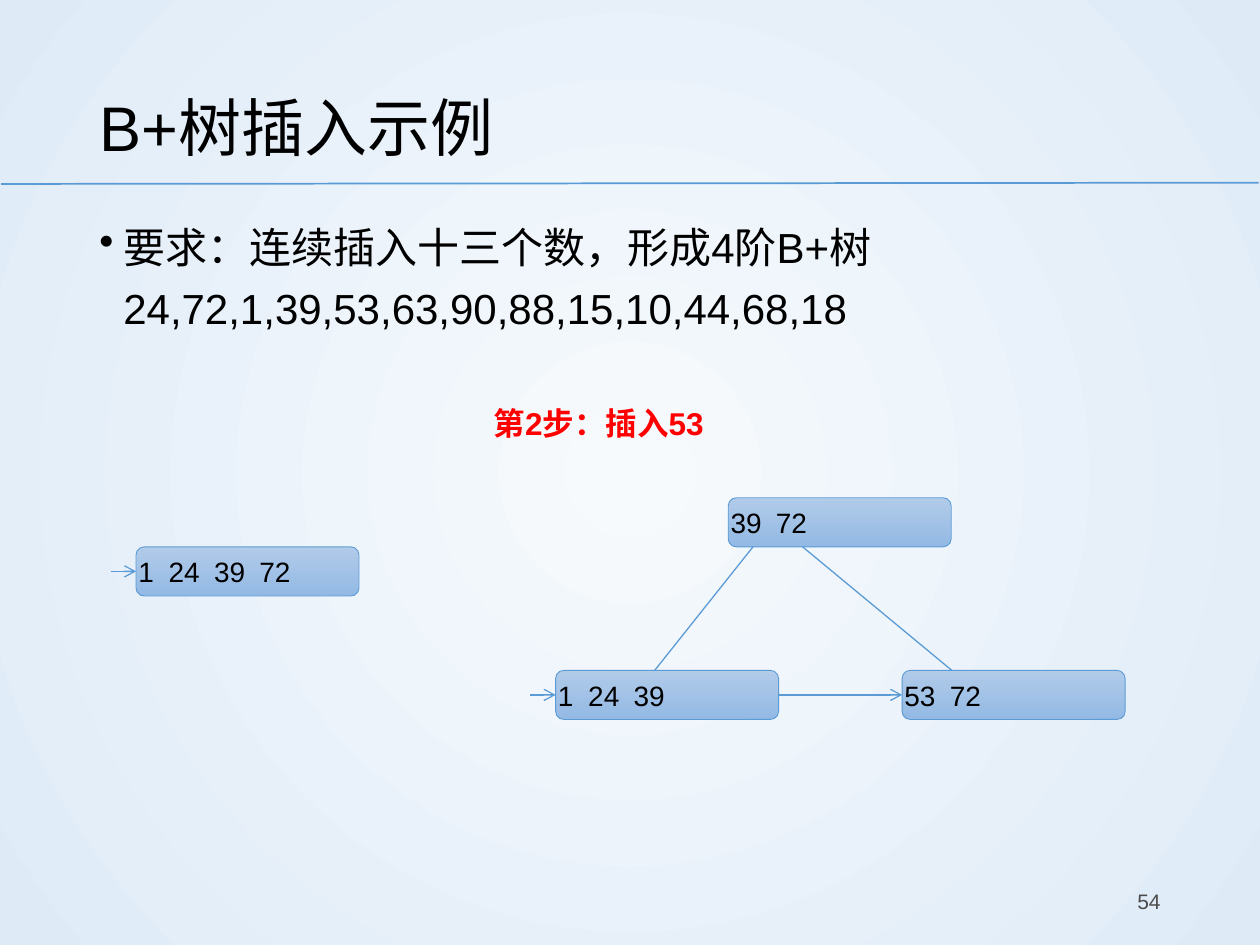
from lxml import etree
from pptx import Presentation
from pptx.dml.color import RGBColor
from pptx.enum.shapes import MSO_CONNECTOR, MSO_SHAPE
from pptx.enum.text import MSO_ANCHOR, PP_ALIGN
from pptx.oxml.ns import qn
from pptx.util import Inches, Pt

LINE, ROUND = MSO_CONNECTOR.STRAIGHT, MSO_SHAPE.ROUNDED_RECTANGLE
TOP, MID = MSO_ANCHOR.TOP, MSO_ANCHOR.MIDDLE
LEFT, RIGHT = PP_ALIGN.LEFT, PP_ALIGN.RIGHT

# Content
TITLE = "B+树插入示例"
TASK = "要求：连续插入十三个数，形成4阶B+树24,72,1,39,53,63,90,88,15,10,44,68,18"
STEP = "第2步：插入53"
PAGE = "54"
NODES = {  # name: (left, top, keys)
    "old": (1.08, 4.34, ["1", "24", "39", "72"]),
    "root": (5.78, 3.95, ["39", "72"]),
    "low": (4.41, 5.32, ["1", "24", "39"]),
    "high": (7.16, 5.32, ["53", "72"]),
}
HEADS = ["old", "low"]  # nodes with an entry arrow
NEXT = [("low", "high")]
# parent, child, start and end as shares of the node width
LINKS = [("root", "low", 1 / 9, 4 / 9), ("root", "high", 1 / 3, 2 / 9)]

THEME = {
    "font": "Arial", "ink": "000000", "mark": "FF0000", "dim": "4B4B4B",
    "rule": "5B9BD5", "back": ("F7FAFD", "DEEBF7"), "node": ("B1CBE9", "93B9E4"),
    "title": 36, "body": 24, "step": 18, "key": 16, "page": 12,
}
WIDE, HIGH = 10, 7.5
EDGE, SPAN = 0.69, 8.62
NODE_W, NODE_H, ENTRY = 1.77, 0.39, 0.2
DIGIT = 0.12  # width of one digit, and of the gap between keys


def color(name):
    return RGBColor.from_string(name)


def blend(fill, pair):
    fill.gradient()
    for stop, name in zip(fill.gradient_stops, pair):
        stop.color.rgb = color(name)


def write(shape, text, size, ink=THEME["ink"], bold=False, align=LEFT,
          anchor=TOP, lead=None, pad=None, bullet=None, tabs=()):
    frame = shape.text_frame
    frame.word_wrap = True
    frame.vertical_anchor = anchor
    if pad:
        (frame.margin_left, frame.margin_top,
         frame.margin_right, frame.margin_bottom) = map(Inches, pad)
    para = frame.paragraphs[0]
    para.text = text
    para.alignment = align
    if lead:
        para.line_spacing = lead
    props = para._p.get_or_add_pPr()
    if bullet:
        props.set("marL", str(Inches(0.19)))
        props.set("indent", str(-Inches(0.19)))
        etree.SubElement(props, qn("a:buChar"), char=bullet)
    if tabs:
        stops = etree.SubElement(props, qn("a:tabLst"))
        for pos in tabs:
            etree.SubElement(stops, qn("a:tab"), pos=str(Inches(pos)), algn="l")
    font = para.runs[0].font
    font.name, font.size, font.bold = THEME["font"], Pt(size), bold
    font.color.rgb = color(ink)


def label(slide, box, text, size, **form):
    write(slide.shapes.add_textbox(*map(Inches, box)), text, size, **form)


def join(slide, start, end, width=0.75, arrow=False):
    line = slide.shapes.add_connector(LINE, *map(Inches, (*start, *end)))
    line.line.color.rgb = color(THEME["rule"])
    line.line.width = Pt(width)
    if arrow:
        etree.SubElement(line.line._get_or_add_ln(), qn("a:tailEnd"), type="arrow")
    etree.SubElement(line._element.spPr, qn("a:effectLst"))


def node(slide, left, top, keys):
    shape = slide.shapes.add_shape(ROUND, *map(Inches, (left, top, NODE_W, NODE_H)))
    shape.shadow.inherit = False
    blend(shape.fill, THEME["node"])
    shape.fill.gradient_angle = 270
    shape.line.color.rgb = color(THEME["rule"])
    shape.line.width = Pt(0.5)
    # Each key starts one gap after the key before it
    tabs, pos = [], 0
    for key in keys[:-1]:
        pos += (len(key) + 1) * DIGIT
        tabs.append(round(pos, 2))
    write(shape, "\t".join(keys), THEME["key"], anchor=MID,
          pad=(0, 0, 0.2, 0), tabs=tabs)


def main():
    deck = Presentation()
    deck.slide_width, deck.slide_height = Inches(WIDE), Inches(HIGH)
    slide = deck.slides.add_slide(deck.slide_layouts[6])

    # Round background glow
    blend(slide.background.fill, THEME["back"])
    grad = next(slide.element.iter(qn("a:gradFill")))
    grad.remove(grad.find(qn("a:lin")))
    glow = etree.SubElement(grad, qn("a:path"), {"path": "circle"})
    etree.SubElement(glow, qn("a:fillToRect"), dict.fromkeys("ltrb", "50000"))

    # Title, rule, task, step and page number
    join(slide, (0.01, 1.46), (WIDE - 0.01, 1.45), width=1)
    label(slide, (EDGE, 0.4, SPAN, 1.08), TITLE, THEME["title"], anchor=MID, lead=1.2)
    label(slide, (EDGE, 1.63, SPAN, 5.13), TASK, THEME["body"], lead=1.2, bullet="•")
    label(slide, (3.82, 3.16, 3.73, 0.4), STEP, THEME["step"],
          ink=THEME["mark"], bold=True)
    label(slide, (EDGE + SPAN - 2.25, 6.95, 2.25, 0.4), PAGE, THEME["page"],
          ink=THEME["dim"], align=RIGHT, anchor=MID)

    # Tree nodes
    for left, top, keys in NODES.values():
        node(slide, left, top, keys)

    # Entry arrows, leaf chain and tree links
    def spot(name, across, down):
        left, top, _ = NODES[name]
        return left + across * NODE_W, top + down * NODE_H

    for name in HEADS:
        end = spot(name, 0, 0.5)
        join(slide, (end[0] - ENTRY, end[1]), end, arrow=True)
    for here, there in NEXT:
        join(slide, spot(here, 1, 0.5), spot(there, 0, 0.5), arrow=True)
    for above, below, start, end in LINKS:
        join(slide, spot(above, start, 1), spot(below, end, 0))

    deck.save("out.pptx")


if __name__ == "__main__":
    main()
